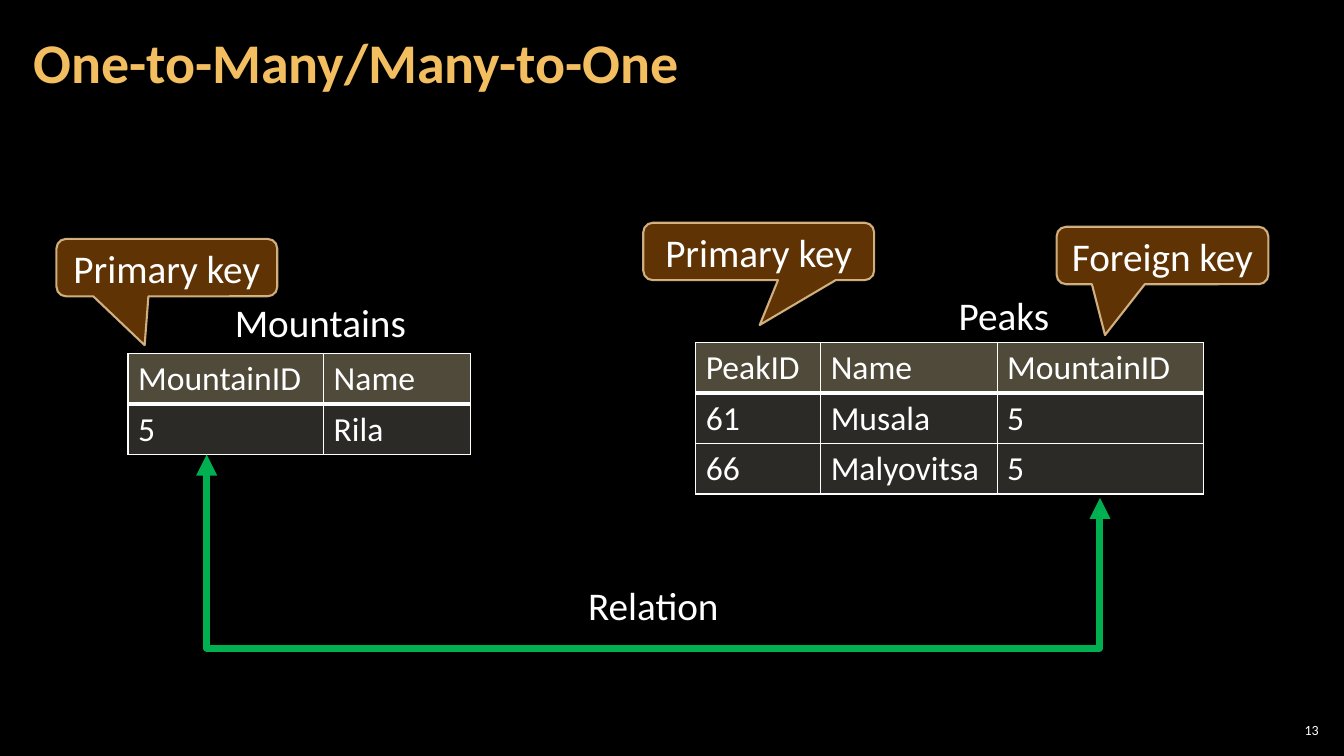
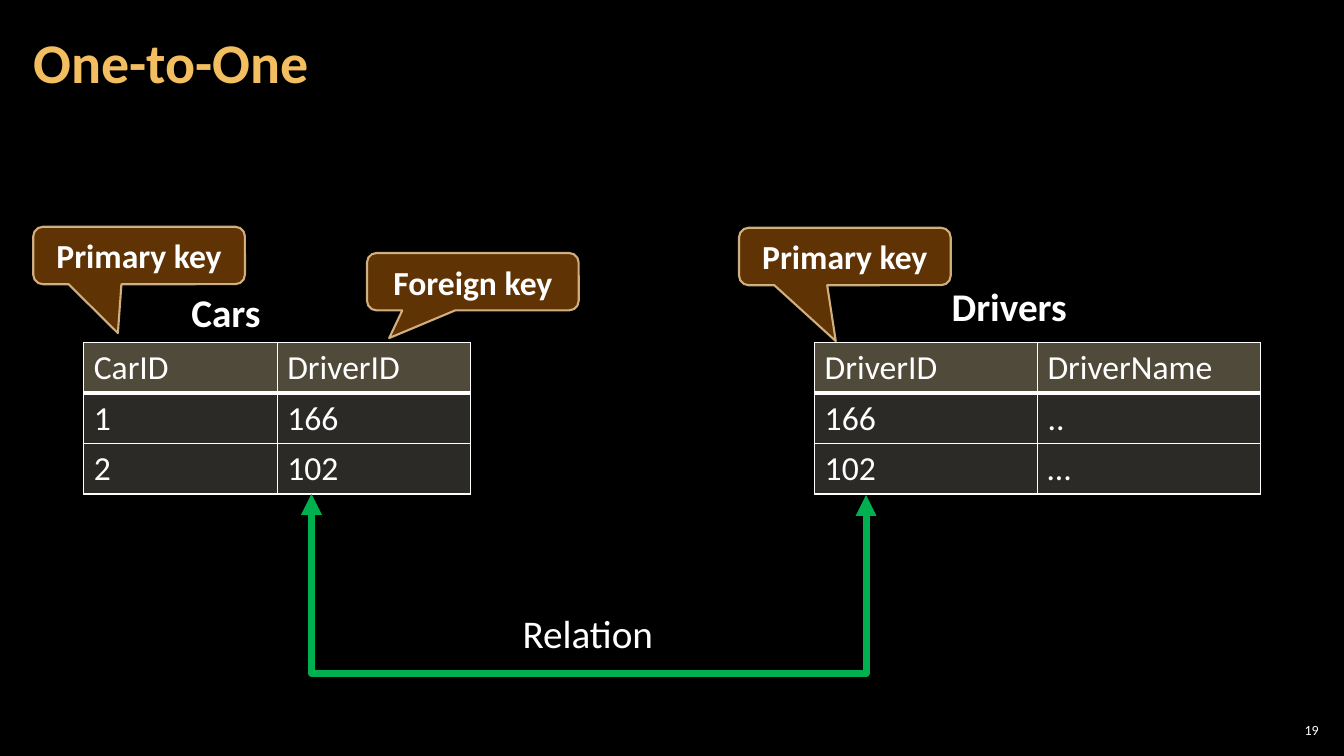
from dataclasses import dataclass

from lxml.etree import SubElement
from pptx import Presentation
from pptx.dml.color import RGBColor
from pptx.enum.shapes import MSO_CONNECTOR as Link, MSO_SHAPE as Shape
from pptx.enum.text import MSO_ANCHOR as Anchor, MSO_AUTO_SIZE as AutoSize, PP_ALIGN as Align
from pptx.oxml import parse_xml
from pptx.oxml.ns import nsdecls, qn
from pptx.util import Emu, Pt


@dataclass(frozen=True)
class Theme:
    """Colours, type sizes and line widths shared by the slides."""
    font: str = "Calibri"
    ground: str = "000000"
    text: str = "FFFFFF"
    title: str = "F3BE60"
    header: str = "A19574"
    body: str = "D9D5C7"
    callout: str = "663606"
    callout_edge: str = "F8D49E"
    relation: str = "00B050"
    title_size: int = 40
    label_size: int = 28
    cell_size: int = 24
    number_size: int = 10
    row_height: int = 50
    callout_height: int = 57


THEME = Theme()


def px(length):
    """Turn px, a hundredth of an inch each, into EMU."""
    return Emu(round(length * 9144))


def paint(fill, color, parent=None, opacity=100):
    """Give a fill one colour, with its opacity in percent."""
    fill.solid()
    fill.fore_color.rgb = RGBColor.from_string(color)
    if opacity < 100:
        node = next(parent.iter(qn("a:srgbClr")))
        SubElement(node, qn("a:alpha"), val=str(opacity * 1000))


def write(frame, text, size, color=THEME.text, bold=False, align=Align.LEFT):
    """Write one paragraph and return it."""
    frame.text = text
    para = frame.paragraphs[0]
    para.alignment = align
    para.font.name = THEME.font
    para.font.size = Pt(size)
    para.font.bold = bold
    para.font.color.rgb = RGBColor.from_string(color)
    return para


def set_margins(frame, across, down):
    """Set the side and the top and bottom margins of a text frame."""
    frame.margin_left = frame.margin_right = px(across)
    frame.margin_top = frame.margin_bottom = px(down)


def add_heading(page, title, number):
    """Add the slide title and the slide number."""
    frame = page.shapes.add_textbox(px(21), px(4), px(1047), px(121)).text_frame
    frame.word_wrap = True
    frame.vertical_anchor = Anchor.MIDDLE
    set_margins(frame, 12, 4)
    write(frame, title, THEME.title_size, THEME.title, bold=True).line_spacing = 0.9
    frame = page.shapes.add_textbox(px(1265), px(714), px(47), px(21)).text_frame
    frame.word_wrap = True
    frame.vertical_anchor = Anchor.MIDDLE
    set_margins(frame, 4, 4)
    write(frame, number, THEME.number_size, align=Align.RIGHT)


def add_label(page, text, left, top, width, bold=False, align=Align.LEFT):
    """Add a label that wraps only when it is centred."""
    frame = page.shapes.add_textbox(px(left), px(top), px(width), px(57)).text_frame
    frame.word_wrap = align == Align.CENTER
    frame.auto_size = AutoSize.SHAPE_TO_FIT_TEXT
    write(frame, text, THEME.label_size, bold=bold, align=align)


def add_borders(cell, bottom):
    """Draw the four borders of a cell, the lower one with its own width."""
    properties = cell._tc.get_or_add_tcPr()
    for index, side in enumerate("LRTB"):
        width = Pt(bottom if side == "B" else 1)
        properties.insert(index, parse_xml(
            f'<a:ln{side} {nsdecls("a")} w="{width}"><a:solidFill>'
            f'<a:srgbClr val="{THEME.text}"/></a:solidFill></a:ln{side}>'))


def add_data_table(page, left, top, widths, rows):
    """Add a table whose first row is the header."""
    table = page.shapes.add_table(
        len(rows), len(widths), px(left), px(top),
        px(sum(widths)), px(THEME.row_height * len(rows))).table
    table.horz_banding = False
    for column, width in zip(table.columns, widths):
        column.width = px(width)
    for index, values in enumerate(rows):
        table.rows[index].height = px(THEME.row_height)
        color, opacity, bottom = (THEME.body, 20, 1) if index else (THEME.header, 50, 3)
        for cell, value in zip(table.rows[index].cells, values):
            write(cell.text_frame, value, THEME.cell_size)
            paint(cell.fill, color, cell._tc.get_or_add_tcPr(), opacity)
            add_borders(cell, bottom)


def add_callout(page, text, left, top, width, tip, size=THEME.label_size, bold=False):
    """Add a key callout; tip is the pointer's offset from the centre."""
    box = page.shapes.add_shape(Shape.ROUNDED_RECTANGULAR_CALLOUT, px(left), px(top),
                                px(width), px(THEME.callout_height))
    box.shadow.inherit = False
    box.adjustments[0], box.adjustments[1] = tip[0] / width, tip[1] / THEME.callout_height
    paint(box.fill, THEME.callout, box.element.spPr, 95)
    box.line.width = Pt(1.5)
    paint(box.line.fill, THEME.callout_edge, box.line._get_or_add_ln(), 80)
    box.text_frame.word_wrap = True
    box.text_frame.vertical_anchor = Anchor.MIDDLE
    write(box.text_frame, text, size, bold=bold, align=Align.CENTER)


def add_relation(page, start, end, floor):
    """Join two columns by an elbow that runs along the floor."""
    span, drop = end[0] - start[0], end[1] - start[1]
    middle_x, middle_y = (start[0] + end[0]) / 2, (start[1] + end[1]) / 2
    elbow = page.shapes.add_connector(
        Link.ELBOW, px(middle_x + drop / 2), px(middle_y - span / 2),
        px(middle_x - drop / 2), px(middle_y + span / 2))
    properties = elbow.element.spPr
    properties.find(qn("a:xfrm")).set("rot", str(270 * 60000))
    guides = properties.find(qn("a:prstGeom")).find(qn("a:avLst"))
    depth = round(100000 * (floor - start[1]) / drop)
    SubElement(guides, qn("a:gd"), name="adj1", fmla=f"val {depth}")
    elbow.line.width = Pt(5)
    paint(elbow.line.fill, THEME.relation)
    for tip in ("a:headEnd", "a:tailEnd"):
        SubElement(elbow.get_or_add_ln(), qn(tip), type="triangle")
    SubElement(properties, qn("a:effectLst"))


def add_page(deck, title, number):
    """Add a blank slide with its heading."""
    page = deck.slides.add_slide(deck.slide_layouts[6])
    add_heading(page, title, number)
    return page


def build_one_to_many(deck):
    """Build the slide on mountains and their peaks."""
    page = add_page(deck, "One-to-Many/Many-to-One", "13")
    add_data_table(page, 127, 351, [194, 146], [["MountainID", "Name"], ["5", "Rila"]])
    add_label(page, "Mountains", 223, 291, 192)
    add_data_table(page, 690, 340, [124, 175, 205], [
        ["PeakID", "Name", "MountainID"],
        ["61", "Musala", "5"],
        ["66", "Malyovitsa", "5"]])
    add_label(page, "Peaks", 941, 284, 111)
    add_callout(page, "Primary key", 56, 237, 219, (-22, 77))
    add_callout(page, "Primary key", 638, 221, 229, (1, 73))
    add_callout(page, "Foreign key", 1048, 225, 210, (-57, 79))
    add_relation(page, (205, 451), (1091, 494), 643)
    add_label(page, "Relation", 540, 572, 216, align=Align.CENTER)


def build_one_to_one(deck):
    """Build the slide on cars and their drivers."""
    page = add_page(deck, "One-to-One", "19")
    add_data_table(page, 83, 340, [192, 192], [
        ["CarID", "DriverID"], ["1", "166"], ["2", "102"]])
    add_data_table(page, 808, 340, [221, 221], [
        ["DriverID", "DriverName"], ["166", ".."], ["102", "…"]])
    add_label(page, "Cars", 180, 281, 90, bold=True)
    add_label(page, "Drivers", 934, 275, 136, bold=True)
    for text, left, top, tip in (("Primary key", 33, 225, (-21, 77)),
                                 ("Foreign key", 364, 251, (-83, 56)),
                                 ("Primary key", 733, 226, (-9, 84))):
        add_callout(page, text, left, top, 210, tip, THEME.cell_size, bold=True)
    add_relation(page, (309, 490), (859, 491), 671)
    add_label(page, "Relation", 483, 600, 200, align=Align.CENTER)


def main():
    """Build and save the deck."""
    deck = Presentation()
    deck.slide_width, deck.slide_height = px(1333), px(750)
    paint(deck.slide_master.background.fill, THEME.ground)
    build_one_to_many(deck)
    build_one_to_one(deck)
    deck.save("out.pptx")


if __name__ == "__main__":
    main()
